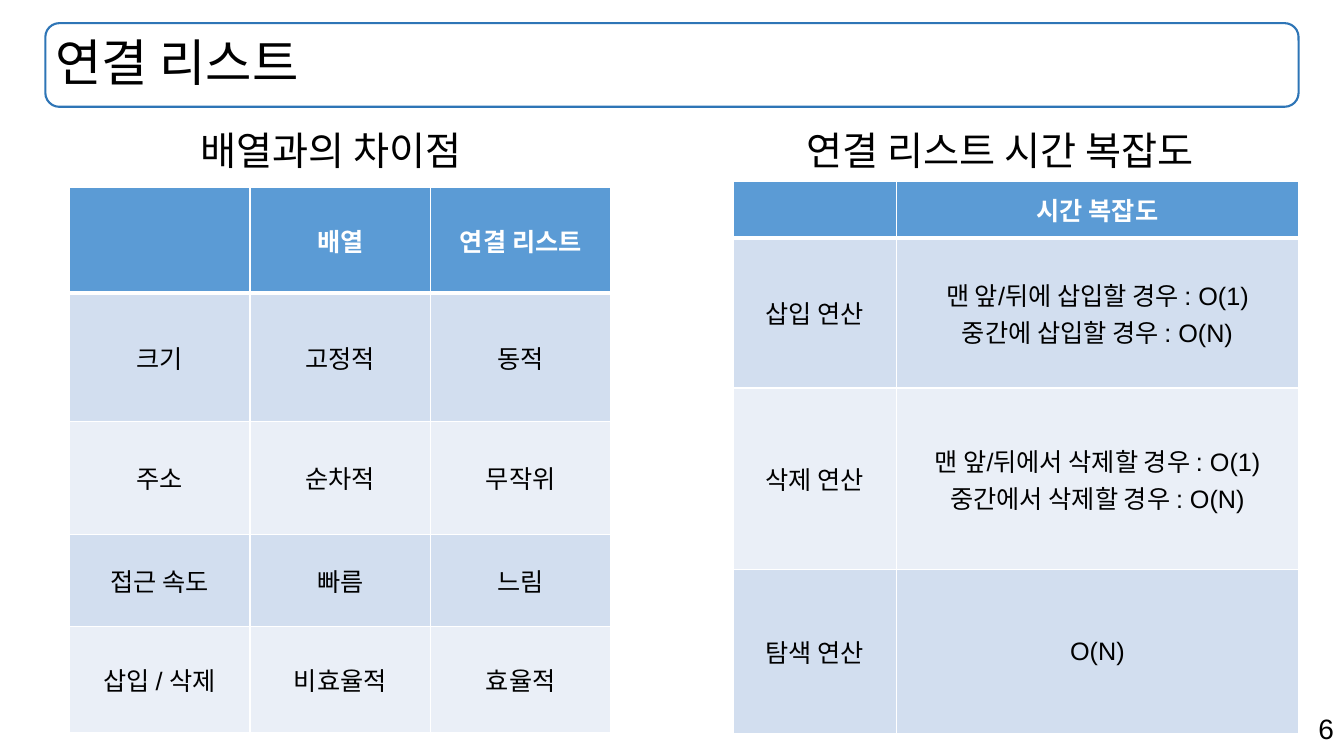
from lxml import etree
from pptx import Presentation
from pptx import util as u
from pptx.dml.color import RGBColor
from pptx.enum import shapes, text
from pptx.oxml import ns

COLORS = {"ink": "000000", "white": "FFFFFF", "frame": "2E75B6",
          "header": "5B9BD5", "odd": "D2DEEF", "even": "EAEFF7"}
FONT = "Arial"

COMPARISON = [
    ["", "배열", "연결 리스트"],
    ["크기", "고정적", "동적"],
    ["주소", "순차적", "무작위"],
    ["접근 속도", "빠름", "느림"],
    ["삽입 / 삭제", "비효율적", "효율적"],
]
COMPLEXITY = [
    ["", "시간 복잡도"],
    ["삽입 연산", "맨 앞/뒤에 삽입할 경우 : O(1)\n중간에 삽입할 경우 : O(N)"],
    ["삭제 연산", "맨 앞/뒤에서 삭제할 경우 : O(1)\n중간에서 삭제할 경우 : O(N)"],
    ["탐색 연산", "O(N)"],
]


def rgb(name):
    return RGBColor.from_string(COLORS[name])


def write(tf, content, size, align, color="ink", bold=False, spacing=None):
    tf.text = content
    font = {"name": FONT, "size": u.Pt(size), "bold": bold}
    for p in tf.paragraphs:
        p.alignment = align
        p.line_spacing = spacing
        for r in p.runs:
            for key, value in font.items():
                setattr(r.font, key, value)
            r.font.color.rgb = rgb(color)


def add_text(s, box, content, size, align, anchor=text.MSO_ANCHOR.TOP, spacing=None):
    tf = s.shapes.add_textbox(*map(u.Inches, box)).text_frame
    tf.word_wrap = True
    tf.vertical_anchor = anchor
    write(tf, content, size, align, spacing=spacing)


def add_border(cell, side, width):
    ln = etree.SubElement(cell._tc.get_or_add_tcPr(), ns.qn(f"a:ln{side}"),
                          w=str(u.Pt(width)))
    fill = etree.SubElement(ln, ns.qn("a:solidFill"))
    etree.SubElement(fill, ns.qn("a:srgbClr"), val=COLORS["white"])


def title_bar(s, box):
    # Rounded frame with the title over it
    sp = s.shapes.add_shape(shapes.MSO_SHAPE.ROUNDED_RECTANGLE, *map(u.Inches, box))
    sp.shadow.inherit = False
    sp.fill.background()
    sp.line.color.rgb = rgb("frame")
    sp.line.width = u.Pt(1.5)
    add_text(s, box, "연결 리스트", 36, text.PP_ALIGN.LEFT,
             text.MSO_ANCHOR.MIDDLE, 0.9)


def table_section(s, left, top, heading, heading_center, rows, widths, heights):
    # Heading above the table
    heading_width = 5
    add_text(s, (heading_center - heading_width / 2, 1.26, heading_width, 0.55),
             heading, 28, text.PP_ALIGN.CENTER, spacing=0.9)

    # Table with a header row and alternating bands
    box = (left, top, sum(widths), sum(heights))
    table = s.shapes.add_table(len(rows), len(widths), *map(u.Inches, box)).table
    for column, width in zip(table.columns, widths):
        column.width = u.Inches(width)
    for i, (row, height) in enumerate(zip(rows, heights)):
        table.rows[i].height = u.Inches(height)
        band = "header" if i == 0 else "odd" if i % 2 else "even"
        borders = {"L": 1, "R": 1, "T": 3 if i == 1 else 1, "B": 3 if i == 0 else 1}
        for j, content in enumerate(row):
            cell = table.cell(i, j)
            for side, width in borders.items():
                add_border(cell, side, width)
            cell.fill.solid()
            cell.fill.fore_color.rgb = rgb(band)
            cell.vertical_anchor = text.MSO_ANCHOR.MIDDLE
            write(cell.text_frame, content, 18, text.PP_ALIGN.CENTER,
                  "white" if i == 0 else "ink", i == 0)


def page_number(s, box):
    add_text(s, box, "6", 20, text.PP_ALIGN.RIGHT)


def main():
    prs = Presentation()
    prs.slide_width, prs.slide_height = u.Inches(13.33), u.Inches(7.5)
    s = prs.slides.add_slide(prs.slide_layouts[6])
    page_number(s, (9.43, 7.01, 3.9, 0.44))
    title_bar(s, (0.45, 0.23, 12.43, 0.83))
    table_section(s, 0.69, 1.86, "배열과의 차이점", 3.28, COMPARISON,
                  [1.79] * 3, [1.05, 1.27, 1.12, 0.92, 1.05])
    table_section(s, 7.27, 1.8, "연결 리스트 시간 복잡도", 9.92, COMPLEXITY,
                  [1.62, 3.99], [0.56, 1.49, 1.8, 1.63])
    prs.save("out.pptx")


if __name__ == "__main__":
    main()
